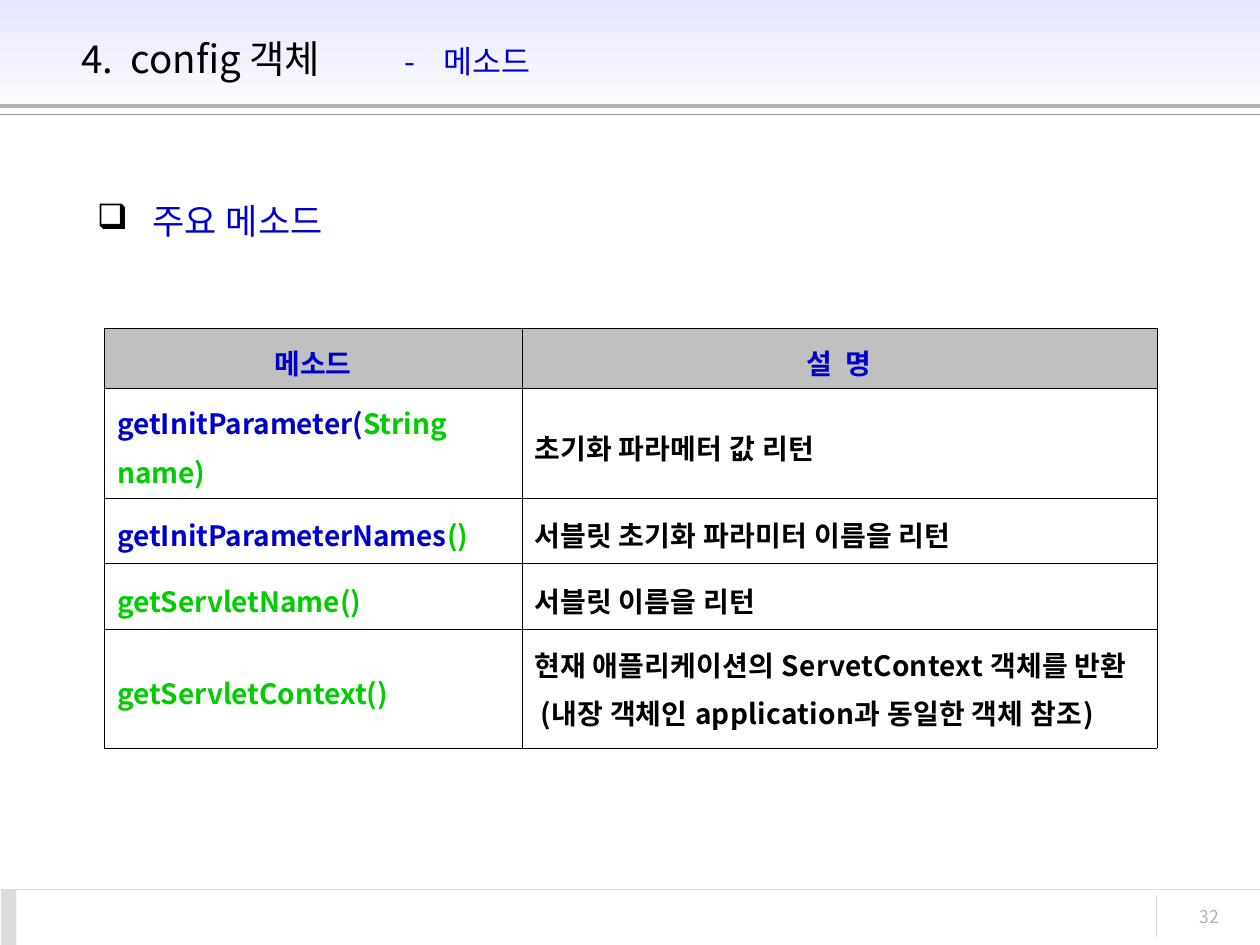
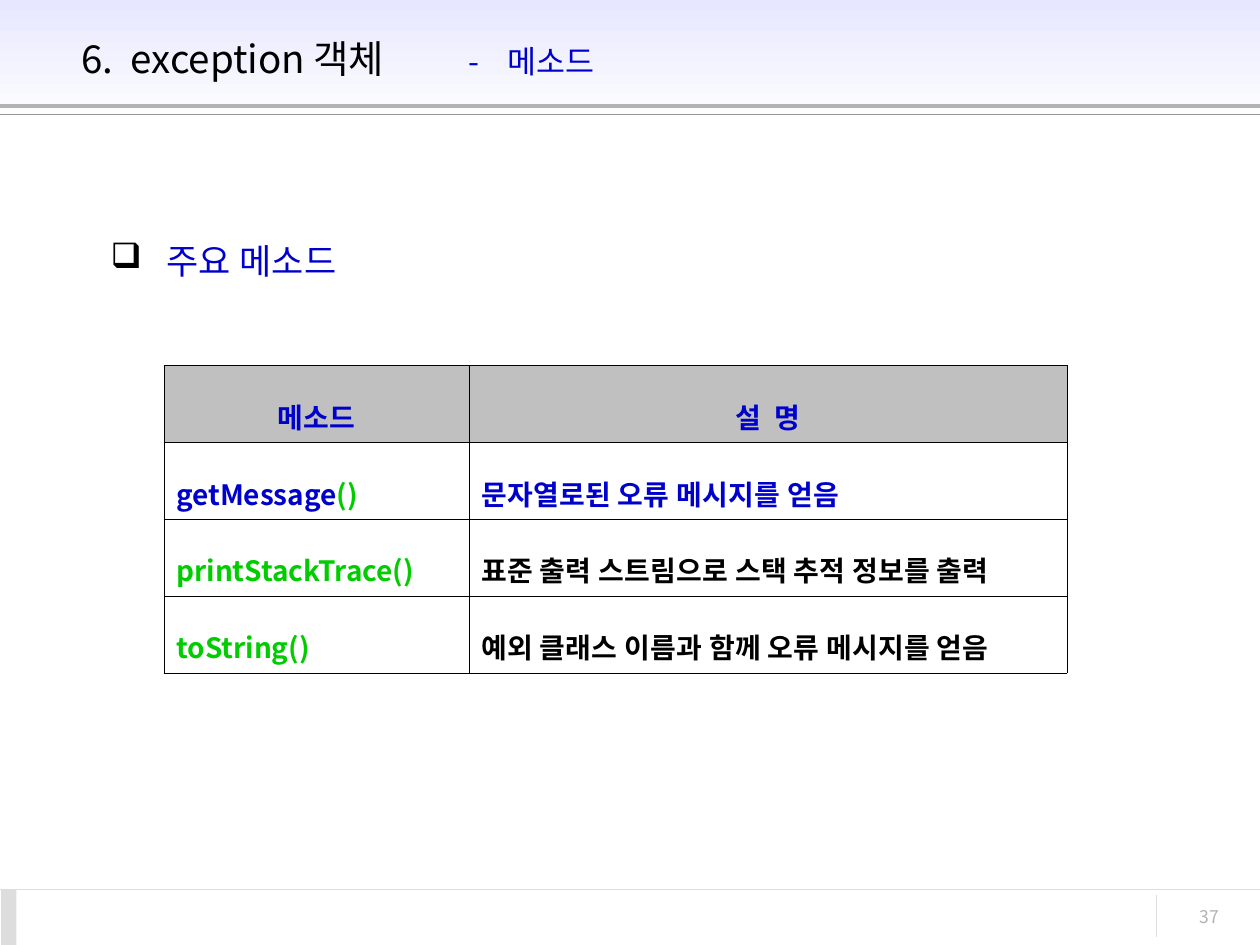
from pptx import Presentation
from pptx.dml.color import RGBColor as Rgb
from pptx.enum.shapes import MSO_CONNECTOR as Conn, MSO_SHAPE as Shape
from pptx.enum.text import MSO_ANCHOR as Anchor, PP_ALIGN as Align
from pptx.oxml.ns import qn
from pptx.util import Inches, Pt
from lxml.etree import SubElement as Sub

FONT = "Noto Sans CJK KR"
HEX = {
    "ink": "000000", "blue": "0000CC", "green": "00CC00", "head": "C0C0C0",
    "sky": "E7E7FF", "white": "FFFFFF", "rule": "B2B2B2", "thin": "969696",
    "pale": "DDDDDD",
}
INSET = {
    "margin_left": Inches(0.1), "margin_right": Inches(0.1),
    "margin_top": Inches(0.05), "margin_bottom": Inches(0.05),
}


def color(key):
    return Rgb.from_string(HEX[key])


def put(item, form):
    for name, value in form.items():
        setattr(item, name, value)


def write(para, runs, size, bold=False, track=0, **form):
    """Fill a paragraph with (text, colour) or (text, colour, size) runs."""
    put(para, form)
    for text, key, *own in runs:
        run = para.add_run()
        run.text = text
        put(run.font, {"name": FONT, "size": Pt(own[0] if own else size),
                       "bold": bold})
        run.font.color.rgb = color(key)
        props = run.font._element
        Sub(props, qn("a:ea"), typeface=FONT)
        if track:
            props.set("spc", str(track))


def add_box(slide, box, anchor=Anchor.TOP):
    frame = slide.shapes.add_textbox(*map(Inches, box)).text_frame
    put(frame, {**INSET, "word_wrap": True, "vertical_anchor": anchor})
    return frame.paragraphs[0]


def add_rect(slide, box):
    rect = slide.shapes.add_shape(Shape.RECTANGLE, *map(Inches, box))
    rect.shadow.inherit = False
    rect.line.fill.background()
    return rect


def add_line(slide, start, end, key, width=0.75):
    line = slide.shapes.add_connector(Conn.STRAIGHT,
                                      *map(Inches, (*start, *end)))
    line.line.color.rgb = color(key)
    line.line.width = Pt(width)
    Sub(line._element.spPr, qn("a:effectLst"))


# Header band with its title; the tabs set the gaps in the title
def add_head(slide, box, parts, tabs):
    x, y, w, h = box
    fill = add_rect(slide, box).fill
    fill.gradient()
    fill.gradient_angle = 270
    for stop, key, pos in zip(fill.gradient_stops, ("sky", "white"), (0, 1)):
        stop.color.rgb = color(key)
        stop.position = pos
    for drop, key, width in ((0.84, "rule", 2.25), (0.91, "thin", 0.75)):
        add_line(slide, (x, y + drop), (x + w, y + drop), key, width)

    para = add_box(slide, (x + 0.55, y + 0.12, 8.63, 0.68), Anchor.MIDDLE)
    stops = Sub(para._p.get_or_add_pPr(), qn("a:tabLst"))
    for pos in tabs:
        Sub(stops, qn("a:tab"), pos=str(Inches(pos)), algn="l")
    num, name, topic = parts
    write(para, [(f"{num}\t{name}", "ink"), (f"\t-\t{topic}", "blue", 18)], 22)


# Footer with the page number
def add_foot(slide, box, page):
    x, y, w, h = box
    add_line(slide, (x, y), (x + w, y), "pale")
    block = add_rect(slide, (x + 0.01, y, 0.12, h))
    block.fill.solid()
    block.fill.fore_color.rgb = color("pale")
    add_line(slide, (x + 9.18, y + 0.04), (x + 9.18, y + 0.38), "pale")
    para = add_box(slide, (x + 8.85, y + 0.08, 0.92, 0.33))
    write(para, [(page, "rule")], 10, alignment=Align.RIGHT)


# Bulleted heading
def add_topic(slide, box, text, space):
    para = add_box(slide, box)
    para.line_spacing = space
    props = para._p.get_or_add_pPr()
    indent = Inches(0.44)
    props.set("marL", str(indent))
    props.set("indent", str(-indent))
    Sub(Sub(props, qn("a:buClr")), qn("a:srgbClr"), val=HEX["ink"])
    Sub(props, qn("a:buChar"), char="❑")
    write(para, [(text, "blue")], 20, track=20)


def style_cell(cell, head):
    props = cell._tc.get_or_add_tcPr()
    for side in ("lnL", "lnR", "lnT", "lnB"):
        edge = Sub(props, qn(f"a:{side}"), w=str(Pt(0.11)))
        Sub(Sub(edge, qn("a:solidFill")), qn("a:srgbClr"), val=HEX["ink"])
    if head:
        cell.fill.solid()
        cell.fill.fore_color.rgb = color("head")
    else:
        cell.fill.background()
    put(cell, {**INSET, "vertical_anchor": Anchor.MIDDLE})


# Method table: each cell is a list of paragraphs, each a list of runs
def add_grid(slide, spot, cols, highs, rows, space):
    box = (*spot, sum(cols), sum(highs))
    grid = slide.shapes.add_table(len(rows), len(cols),
                                  *map(Inches, box)).table
    put(grid, {"first_row": False, "horz_banding": False})
    for col, wide in zip(grid.columns, cols):
        col.width = Inches(wide)
    for r, (high, row) in enumerate(zip(highs, rows)):
        grid.rows[r].height = Inches(high)
        for c, paras in enumerate(row):
            cell = grid.cell(r, c)
            style_cell(cell, r == 0)
            frame = cell.text_frame
            for i, runs in enumerate(paras):
                para = frame.paragraphs[0] if i == 0 else frame.add_paragraph()
                if len(paras) == 1:
                    side = Align.JUSTIFY if c else Align.LEFT
                    form = {"line_spacing": space,
                            "alignment": side if r else Align.CENTER}
                else:
                    form = {"space_before": Pt(4)} if i else {}
                if i:
                    para._p.get_or_add_pPr().set("marL", str(Inches(0.05)))
                write(para, runs, 16, True, 20 * c, **form)


def one(*runs):
    return [list(runs)]


HEAD = [one(("메소드", "blue")), one(("설  명", "blue"))]
CONFIG = [
    HEAD,
    [one(("getInitParameter(", "blue"), ("String name)", "green")),
     one(("초기화 파라메터 값 리턴", "ink"))],
    [one(("getInitParameterNames", "blue"), ("()", "green")),
     one(("서블릿 초기화 파라미터 이름을 리턴", "ink"))],
    [one(("getServletName()", "green")), one(("서블릿 이름을 리턴", "ink"))],
    [one(("getServletContext()", "green")),
     [[("현재 애플리케이션의 ServetContext 객체를 반환", "ink")],
      [("(내장 객체인 application과 동일한 객체 참조)", "ink")]]],
]
ERROR = [
    HEAD,
    [one(("getMessage", "blue"), ("()", "green")),
     one(("문자열로된 오류 메시지를 얻음", "blue"))],
    [one(("printStackTrace()", "green")),
     one(("표준 출력 스트림으로 스택 추적 정보를 출력", "ink"))],
    [one(("toString()", "green")),
     one(("예외 클래스 이름과 함께 오류 메시지를 얻음", "ink"))],
]
PAGES = [
    {"page": "32", "title": ("4.", "config 객체", "메소드"),
     "tabs": (0.39, 2.56, 2.87), "topic": ((0.67, 1.47, 8.67, 4.95), 1.2),
     "grid": ((0.83, 2.6), (3.31, 5.04), (0.48, 0.87, 0.52, 0.52, 0.95),
              CONFIG, 1.2)},
    {"page": "37", "title": ("6.", "exception 객체", "메소드"),
     "tabs": (0.39, 3.07, 3.38), "topic": ((0.78, 1.75, 8.67, 4.95), 1.3),
     "grid": ((1.3, 2.9), (2.42, 4.75), (0.61,) * 4, ERROR, 1.6)},
]


def main():
    deck = Presentation()
    put(deck, {"slide_width": Inches(10), "slide_height": Inches(7.5)})
    for page in PAGES:
        slide = deck.slides.add_slide(deck.slide_layouts[6])
        add_head(slide, (0, 0, 10, 1), page["title"], page["tabs"])
        add_foot(slide, (0, 7.06, 10, 0.44), page["page"])
        box, space = page["topic"]
        add_topic(slide, box, "주요 메소드", space)
        add_grid(slide, *page["grid"])
    deck.save("out.pptx")


if __name__ == "__main__":
    main()
